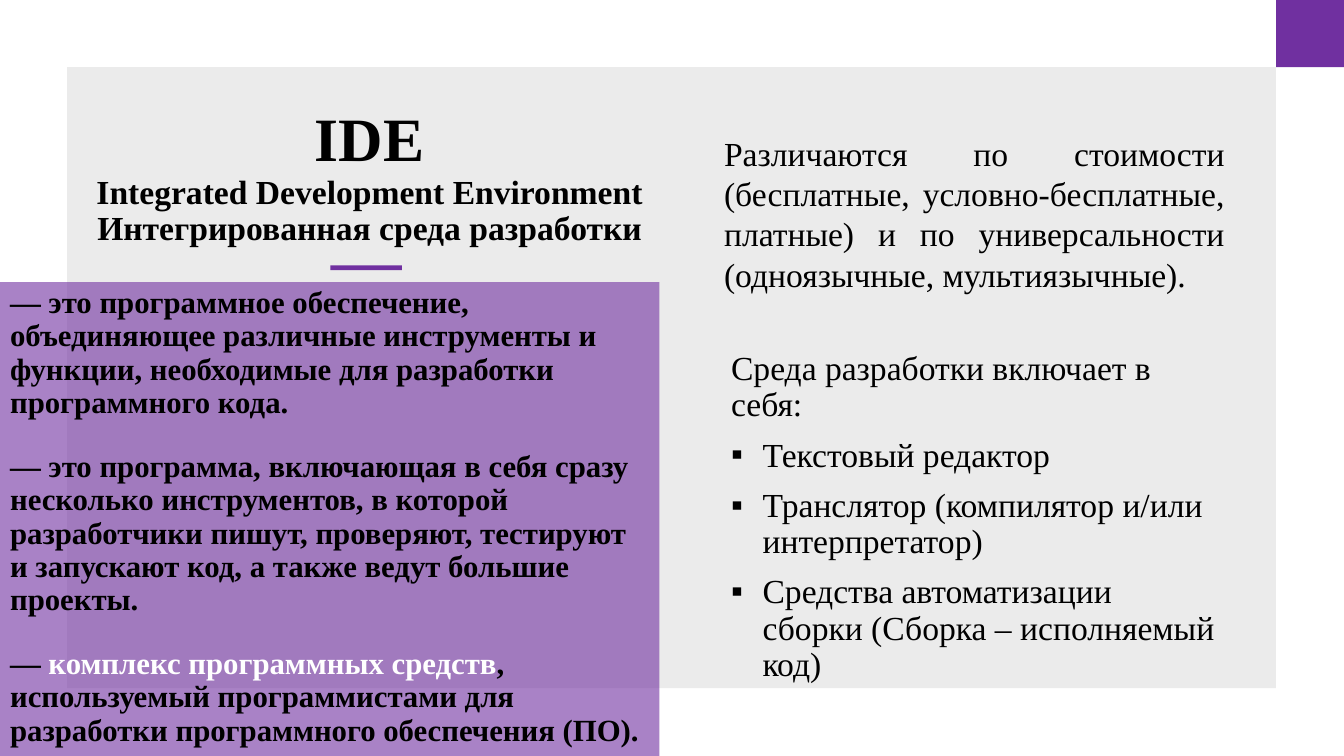
from typing import NamedTuple

from lxml.etree import SubElement
from pptx import Presentation
from pptx.dml.color import RGBColor
from pptx.enum.shapes import MSO_SHAPE
from pptx.enum.text import MSO_ANCHOR, MSO_AUTO_SIZE, PP_ALIGN
from pptx.oxml.ns import qn
from pptx.util import Pt

FONT = "Times New Roman"
COLORS = {"grey": "D9D9D9", "purple": "7030A0", "black": "000000", "white": "FFFFFF"}


class Box(NamedTuple):
    left: float
    top: float
    width: float
    height: float


class Block(NamedTuple):
    box: Box
    color: str
    alpha: int = 100


class Phrase(NamedTuple):
    text: str
    color: str = "black"


class Para(NamedTuple):
    phrases: list[Phrase]
    bullet: bool = False


class Body(NamedTuple):
    box: Box
    paras: list[Para]
    size: int
    bold: bool = False
    align: PP_ALIGN = PP_ALIGN.LEFT
    line: float = 0.9
    before: int = 10
    after: int = 0


NOTE = Box(0, 201.5, 471, 338.5)
BACK = [
    Block(Box(48, 48, 863.5, 443.5), "grey", 50),
    Block(Box(911.5, 0, 48.5, 48), "purple"),
    Block(NOTE, "purple", 60),
    Block(Box(236, 189.5, 51, 3.5), "purple"),
]
HEAD = Box(48, 48, 432, 132.5)
TITLE = "IDE\vIntegrated Development Environment\vИнтегрированная среда разработки"
BODIES = [
    Body(Box(510, 91, 372, 131), [
        Para([Phrase("Различаются по стоимости (бесплатные, условно-бесплатные, платные) "
                     "и по универсальности (одноязычные, мультиязычные).")]),
    ], 24, align=PP_ALIGN.JUSTIFY, line=1.0, before=12, after=6),
    Body(NOTE, [
        Para([Phrase("— это программное обеспечение, объединяющее различные инструменты "
                     "и функции, необходимые для разработки программного кода.")]),
        Para([Phrase("— это программа, включающая в себя сразу несколько инструментов, "
                     "в которой разработчики пишут, проверяют, тестируют и запускают код, "
                     "а также ведут большие проекты.")]),
        Para([Phrase("— "), Phrase("комплекс программных средств", "white"),
              Phrase(", используемый программистами для разработки "
                     "программного обеспечения (ПО).")]),
    ], 22, bold=True, after=12),
    Body(Box(515, 247.5, 362, 244), [
        Para([Phrase("Среда разработки включает в себя:")]),
        Para([Phrase("Текстовый редактор")], True),
        Para([Phrase("Транслятор (компилятор и/или интерпретатор)")], True),
        Para([Phrase("Средства автоматизации сборки (Сборка – исполняемый код)")], True),
    ], 24),
]


def place(shape, box: Box) -> None:
    shape.left, shape.top, shape.width, shape.height = map(Pt, box)


def style(run, size: int, bold: bool, color: str = "black") -> None:
    font = run.font
    font.name, font.size, font.bold = FONT, Pt(size), bold
    font.color.rgb = RGBColor.from_string(COLORS[color])


def set_frame(holder, box: Box, anchor: MSO_ANCHOR) -> None:
    """Move a placeholder in front of the blocks and fix its text frame."""
    place(holder, box)
    holder.element.getparent().append(holder.element)
    frame = holder.text_frame
    frame.word_wrap = True
    frame.auto_size = MSO_AUTO_SIZE.NONE
    frame.vertical_anchor = anchor


def draw_block(slide, block: Block) -> None:
    shape = slide.shapes.add_shape(MSO_SHAPE.RECTANGLE, *map(Pt, block.box))
    shape.shadow.inherit = False
    shape.line.fill.background()
    shape.fill.solid()
    shape.fill.fore_color.rgb = RGBColor.from_string(COLORS[block.color])
    if block.alpha < 100:
        color = shape.element.spPr.find(qn("a:solidFill"))[0]
        SubElement(color, qn("a:alpha"), val=str(block.alpha * 1000))


def set_bullet(para, shown: bool) -> None:
    props = para._p.get_or_add_pPr()
    dent = Pt(22.5) if shown else Pt(0)
    props.set("marL", str(int(dent)))
    props.set("indent", str(-int(dent)))
    if shown:
        SubElement(props, qn("a:buChar"), char="▪")
    else:
        SubElement(props, qn("a:buNone"))


def fill_title(holder) -> None:
    set_frame(holder, HEAD, MSO_ANCHOR.BOTTOM)
    holder.text_frame.text = TITLE
    para = holder.text_frame.paragraphs[0]
    para.alignment = PP_ALIGN.CENTER
    para.line_spacing = 0.9
    for run, size in zip(para.runs, (44, 24, 24)):
        style(run, size, True)
    for gap in para._p.findall(qn("a:br")):
        SubElement(gap, qn("a:rPr"), sz="2400")


def fill_body(holder, body: Body) -> None:
    set_frame(holder, body.box, MSO_ANCHOR.TOP)
    frame = holder.text_frame
    for i, item in enumerate(body.paras):
        para = frame.add_paragraph() if i else frame.paragraphs[0]
        para.alignment = body.align
        para.line_spacing = body.line
        para.space_before, para.space_after = Pt(body.before), Pt(body.after)
        set_bullet(para, item.bullet)
        for phrase in item.phrases:
            run = para.add_run()
            run.text = phrase.text
            style(run, body.size, body.bold, phrase.color)


def main() -> None:
    deck = Presentation()
    deck.slide_width, deck.slide_height = Pt(960), Pt(540)
    slide = deck.slides.add_slide(deck.slide_layouts.get_by_name("Comparison"))
    for block in BACK:
        draw_block(slide, block)
    title, *holders, spare = slide.placeholders
    fill_title(title)
    for holder, body in zip(holders, BODIES):
        fill_body(holder, body)
    spare.element.getparent().remove(spare.element)
    deck.save("out.pptx")


if __name__ == "__main__":
    main()
